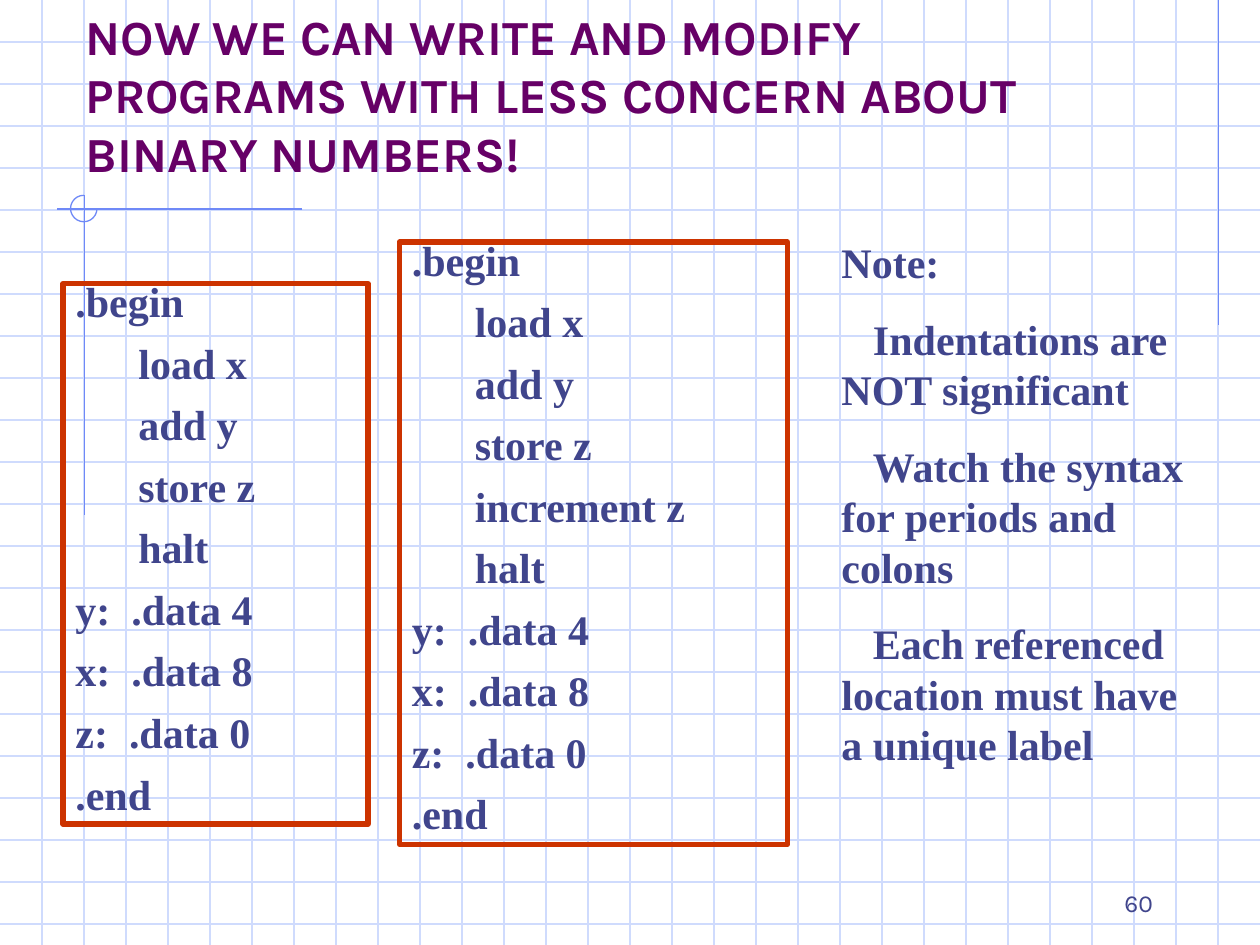
from lxml import etree
from pptx import Presentation, util as u
from pptx.dml.color import RGBColor
from pptx.enum import shapes, text
from pptx.oxml.ns import qn

GRID, ACCENT = RGBColor(0xCF, 0xDB, 0xFD), RGBColor(0x6F, 0x89, 0xF7)
PURPLE, INK = RGBColor(0x66, 0x00, 0x66), RGBColor(0x40, 0x45, 0x8C)
RED = RGBColor(0xCC, 0x33, 0x00)
SERIF, SANS = "Times New Roman", "Karla"
W, H, CELLS = 10, 7.5, 3  # slide in inches, grid cells to the inch

TITLE = "NOW WE CAN WRITE AND MODIFY PROGRAMS WITH LESS CONCERN ABOUT BINARY NUMBERS!"
START = [".begin", "\tload x", "\tadd y", "\tstore z"]
FINISH = ["\thalt", "y:  .data 4", "x:  .data 8", "z:  .data 0", ".end"]
PROGRAMS = [  # box, lines of code
    ((0.5, 2.25, 2.42, 4.29), START + FINISH),
    ((3.17, 1.92, 3.08, 4.78), START + ["\tincrement z"] + FINISH),
]
NOTE = "Note:"
REMARKS = [
    "Indentations are NOT significant",
    "Watch the syntax for periods and colons",
    "Each referenced location must have a unique label",
]
ACCENT_LINES = [(9.67, 0, 9.67, 2.58), (2.4, 1.66, 0.45, 1.66), (0.67, 1.55, 0.67, 4.09)]


def inches(values):
    return [u.Inches(v) for v in values]


def add_line(s, ends, color):
    ln = s.shapes.add_connector(shapes.MSO_CONNECTOR.STRAIGHT, *inches(ends))
    ln.line.color.rgb, ln.line.width = color, u.Pt(0.75)
    etree.SubElement(ln._element.spPr, qn("a:effectLst"))


def add_outline(s, kind, box, color, width):
    sp = s.shapes.add_shape(kind, *inches(box))
    sp.shadow.inherit = False
    sp.fill.background()
    sp.line.color.rgb, sp.line.width = color, u.Pt(width)
    return sp


def write(sp, lines, *, size=24, font=SERIF, color=INK, bold=True, spacing=None,
          before=0, align=text.PP_ALIGN.LEFT, anchor=text.MSO_ANCHOR.TOP, indent=0):
    """Fill a shape with paragraphs; indent applies to the first line of all but the first."""
    tf = sp.text_frame
    tf.word_wrap, tf.auto_size = True, text.MSO_AUTO_SIZE.NONE
    tf.vertical_anchor = anchor
    for i, line in enumerate(lines):
        p = tf.paragraphs[0] if i == 0 else tf.add_paragraph()
        r = p.add_run()
        r.text = line
        r.font.size, r.font.name, r.font.bold = u.Pt(size), font, bold
        r.font.color.rgb = color
        p.alignment = align
        p.line_spacing = spacing
        p.space_before = u.Pt(before if i else 0)
        if i and indent:
            pPr = p._p.get_or_add_pPr()
            pPr.set("marL", "0")
            pPr.set("indent", str(u.Inches(indent)))


def add_text(s, box, lines, **fmt):
    write(s.shapes.add_textbox(*inches(box)), lines, **fmt)


def draw_background(s):
    for row in range(1, int(H * CELLS) + 1):
        add_line(s, (0, row / CELLS, W, row / CELLS), GRID)
    for col in range(1, W * CELLS):
        add_line(s, (col / CELLS, 0, col / CELLS, H), GRID)
    for ends in ACCENT_LINES:
        add_line(s, ends, ACCENT)
    arc = add_outline(s, shapes.MSO_SHAPE.ARC, (0.56, 1.55, 0.21, 0.21), ACCENT, 0.75)
    arc.adjustments[0], arc.adjustments[1] = 0, 162  # three quarters, right round to top


def main():
    prs = Presentation()
    prs.slide_width, prs.slide_height = inches((W, H))
    s = prs.slides.add_slide(prs.slide_layouts[5])
    draw_background(s)

    title = s.shapes.title
    title.left, title.top, title.width, title.height = inches((0.58, 0.25, 8.5, 1.25))
    s.shapes._spTree.append(title._element)  # in front of the grid
    write(title, [TITLE], size=28, font=SANS, color=PURPLE, anchor=text.MSO_ANCHOR.BOTTOM)

    for box, code in PROGRAMS:
        sp = add_outline(s, shapes.MSO_SHAPE.RECTANGLE, box, RED, 3)
        write(sp, code, spacing=0.7, before=15)
    add_text(s, (6.58, 1.83, 2.92, 4.33), [NOTE] + REMARKS, before=15, indent=0.25)
    add_text(s, (7.17, 6.83, 2.08, 0.5), ["60"], size=14, font=SANS, bold=False,
             align=text.PP_ALIGN.RIGHT, anchor=text.MSO_ANCHOR.BOTTOM)
    prs.save("out.pptx")


if __name__ == "__main__":
    main()
